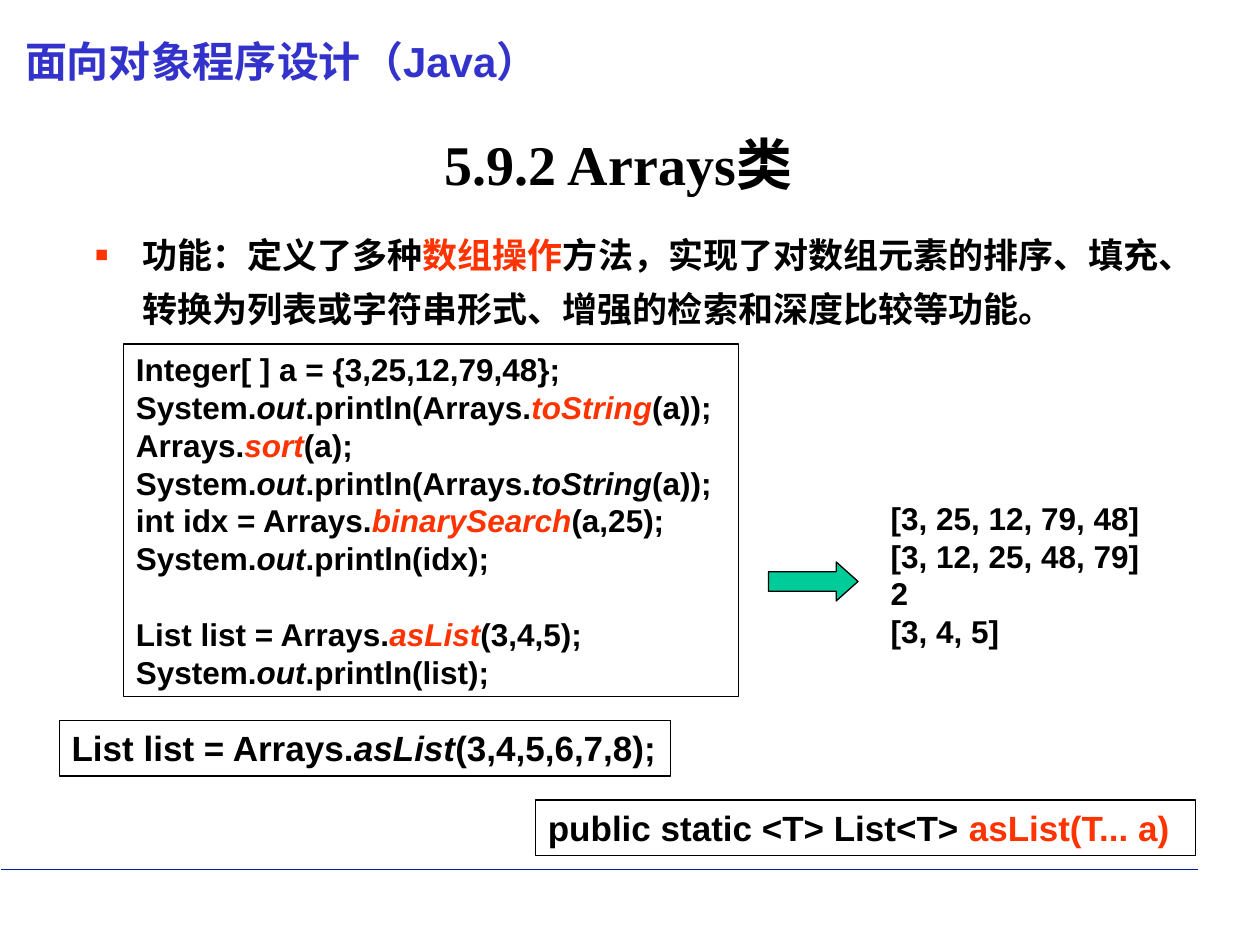
from lxml.etree import SubElement
from pptx import Presentation
from pptx.dml.color import RGBColor as RGB
from pptx.enum.shapes import MSO_CONNECTOR as Connector, MSO_SHAPE as Shape
from pptx.enum.text import MSO_ANCHOR as Anchor, PP_ALIGN as Align
from pptx.oxml.ns import qn
from pptx.util import Inches, Pt

COLORS = {"ink": "000000", "accent": "FF3300", "header": "3333CC",
          "rule": "061AAA", "arrow": "00CC99"}
CELL = Inches(0.1)

deck = Presentation()
deck.slide_width, deck.slide_height = 100 * CELL, 75 * CELL
slide = deck.slides.add_slide(deck.slide_layouts[6])


def place(col, row, cols, rows, preset=None):
    area = [int(n * CELL) for n in (col, row, cols, rows)]
    if preset is None:
        return slide.shapes.add_textbox(*area)
    shape = slide.shapes.add_shape(preset, *area)
    shape.shadow.inherit = False
    shape.fill.background()
    shape.line.color.rgb = RGB.from_string(COLORS["ink"])
    shape.line.width = Pt(0.75)
    return shape


def write(shape, lines, size, font="Arial", color="ink", wrap=True, anchor=Anchor.TOP):
    frame = shape.text_frame
    frame.word_wrap = wrap
    frame.vertical_anchor = anchor
    for number, line in enumerate(lines):
        paragraph = frame.add_paragraph() if number else frame.paragraphs[0]
        paragraph.alignment = Align.LEFT
        for text, style in line:
            run = paragraph.add_run()
            run.text = text
            run.font.name, run.font.size, run.font.bold = font, Pt(size), True
            run.font.italic = "italic" in style
            shade = "accent" if "accent" in style else color
            run.font.color.rgb = RGB.from_string(COLORS[shade])
    return frame


rule = slide.shapes.add_connector(
    Connector.STRAIGHT, *[int(n * CELL) for n in (0.1, 69, 95.1, 69)])
rule.line.color.rgb = RGB.from_string(COLORS["rule"])
rule.line.width = Pt(1)
SubElement(rule._element.spPr, qn("a:effectLst"))

header = write(place(1, 2.4, 92.2, 4), [[("面向对象程序设计（Java）", "")]], 24,
               color="header", anchor=Anchor.MIDDLE)
header.margin_top, header.margin_bottom = Inches(0.08), 0

title = write(place(4.1, 9.9, 90, 6.1), [[("5.9.2 Arrays类", "")]], 32,
              font="Times New Roman", anchor=Anchor.MIDDLE)
title.paragraphs[0].alignment = Align.CENTER

summary = write(place(6.5, 17, 90, 10.2), [[
    ("功能：定义了多种", ""),
    ("数组操作", "accent"),
    ("方法，实现了对数组元素的排序、填充、转换为列表或字符串形式、增强的检索和深度比较等功能。", ""),
]], 20, font="Times New Roman").paragraphs[0]
summary.line_spacing, summary.space_before = 1.3, Pt(5)
bullet = summary._p.get_or_add_pPr()
bullet.set("marL", str(Inches(0.38)))
bullet.set("indent", str(-Inches(0.38)))
SubElement(SubElement(bullet, qn("a:buClr")), qn("a:srgbClr"), val=COLORS["accent"])
SubElement(bullet, qn("a:buSzPct"), val="120000")
SubElement(bullet, qn("a:buFont"), typeface="Arial")
SubElement(bullet, qn("a:buChar"), char="▪")

out = ("out", "italic")
code = write(place(9.8, 27.3, 48.8, 28, Shape.RECTANGLE), [
    [("Integer[ ] a = {3,25,12,79,48};", "")],
    [("System.", ""), out, (".println(Arrays.", ""), ("toString", "accent italic"), ("(a));", "")],
    [("Arrays.", ""), ("sort", "accent italic"), ("(a);", "")],
    [("System.", ""), out, (".println(Arrays.", ""), ("toString", "italic"), ("(a));", "")],
    [("int idx = Arrays.", ""), ("binarySearch", "accent italic"), ("(a,25);", "")],
    [("System.", ""), out, (".println(idx);", "")],
    [("List list = Arrays.", ""), ("asList", "accent italic"), ("(3,4,5);", "")],
    [("System.", ""), out, (".println(list);", "")],
], 18)

results = ["[3, 25, 12, 79, 48]", "[3, 12, 25, 48, 79]", "2", "[3, 4, 5]"]
output = write(place(69.7, 39.1, 21.7, 13), [[(text, "")] for text in results], 18, wrap=False)

line_height = Pt(21.6)
for paragraph in code.paragraphs + output.paragraphs:
    paragraph.line_spacing = line_height
code.paragraphs[6].space_before = line_height

write(place(4.7, 57.2, 48.5, 4.4, Shape.RECTANGLE), [[
    ("List list = Arrays.", ""), ("asList", "italic"), ("(3,4,5,6,7,8);", ""),
]], 20, wrap=False)
write(place(42.5, 63.5, 52.4, 4.4, Shape.RECTANGLE), [[
    ("public static <T> List<T> ", ""), ("asList(T... a)", "accent"),
]], 20, wrap=False)

arrow = place(61, 44.6, 7.1, 3.1, Shape.RIGHT_ARROW)
arrow.adjustments[0], arrow.adjustments[1] = 0.5, 0.56
arrow.fill.solid()
arrow.fill.fore_color.rgb = RGB.from_string(COLORS["arrow"])

deck.save("out.pptx")
